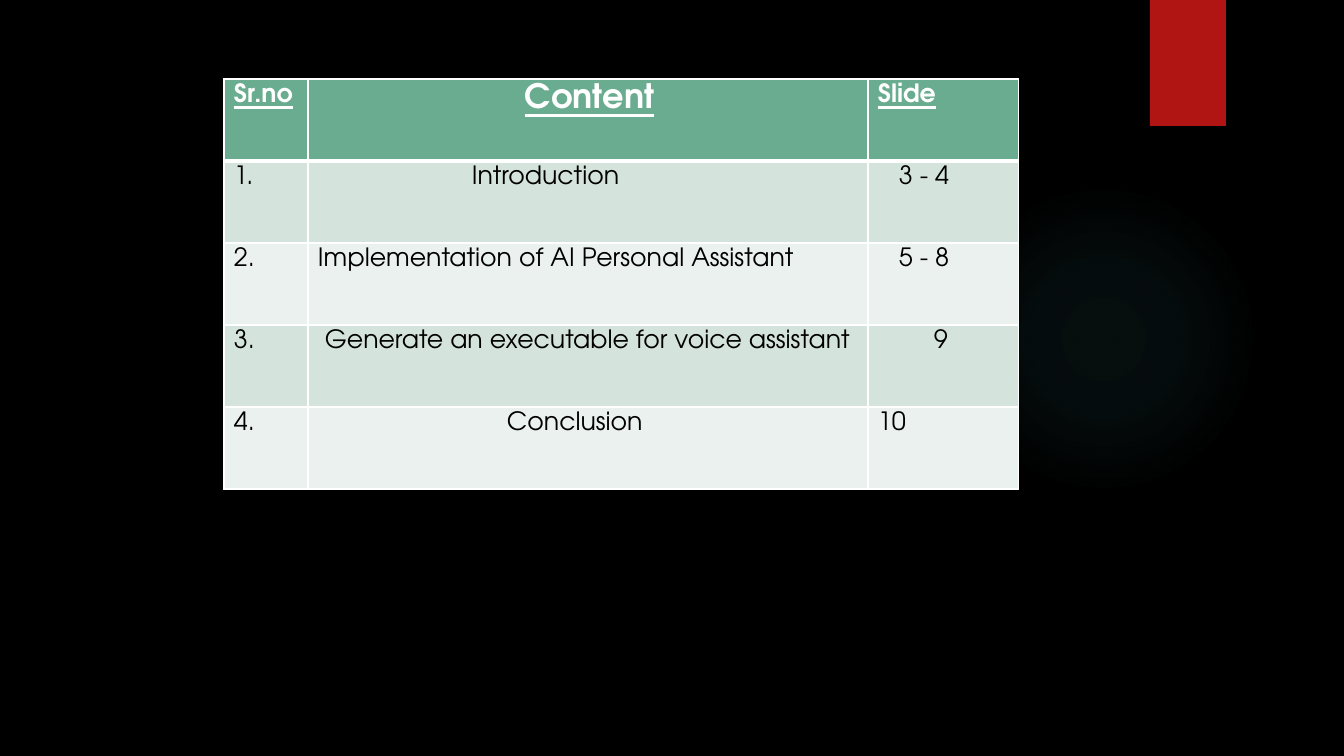
from pptx import Presentation
from pptx.dml.color import RGBColor
from pptx.enum.shapes import MSO_SHAPE
from pptx.oxml import parse_xml
from pptx.oxml.ns import nsdecls
from pptx.util import Emu, Pt

# Content: each cell is its text and its left indent in px
HEADER = [("Sr.no", 10), ("Content", 217), ("Slide", 10)]
ROWS = [
    [("1.", 10), ("Introduction", 164), ("3 - 4", 31)],
    [("2.", 10), ("Implementation of AI Personal Assistant", 10), ("5 - 8", 31)],
    [("3.", 10), ("Generate an executable for voice assistant", 17), ("9", 66)],
    [("4.", 10), ("Conclusion", 199), ("10", 10)],
]

# Layout in px
SLIDE = (1344, 756)
GLOW = (949, 184, 310, 310)
RIBBON = (1150, 0, 76, 126)
TABLE_AT = (224, 79)
COLS = (84, 560, 151)
ROW_H = 82

THEME = {
    "font": "TeX Gyre Adventor",
    "size": 18,
    "title_size": 24,
    "bg": "000000",
    "glow": "50B9C1",
    "glow_stops": [(0, 7), (36, 6), (69, 0)],
    "ribbon": "B01513",
    "header": "6AAC90",
    "bands": ("D4E3DB", "EBF1EE"),
    "line": "FFFFFF",
    "header_text": "FFFFFF",
    "text": "000000",
}


def px(n):
    return Emu(round(n * 914400 / 100.8))


def rgb(name):
    return RGBColor.from_string(name)


def add_plain_shape(s, kind, box, color):
    sp = s.shapes.add_shape(kind, *map(px, box))
    sp.shadow.inherit = False
    sp.line.fill.background()
    sp.fill.solid()
    sp.fill.fore_color.rgb = rgb(color)
    return sp


def set_glow(sp):
    stops = "".join(
        f'<a:gs pos="{pos * 1000}"><a:srgbClr val="{THEME["glow"]}">'
        f'<a:alpha val="{alpha * 1000}"/></a:srgbClr></a:gs>'
        for pos, alpha in THEME["glow_stops"])
    grad = parse_xml(
        f'<a:gradFill {nsdecls("a")}><a:gsLst>{stops}</a:gsLst><a:path path="circle">'
        '<a:fillToRect l="50000" t="50000" r="50000" b="50000"/></a:path></a:gradFill>')
    props = sp.fill._xPr
    props.replace(props.solidFill, grad)


def set_borders(cell, top, bottom):
    widths = {"lnL": 1, "lnR": 1, "lnT": top, "lnB": bottom}
    tc_pr = cell._tc.get_or_add_tcPr()
    for i, (side, width) in enumerate(widths.items()):
        tc_pr.insert(i, parse_xml(
            f'<a:{side} {nsdecls("a")} w="{Pt(width)}"><a:solidFill>'
            f'<a:srgbClr val="{THEME["line"]}"/></a:solidFill></a:{side}>'))


def fill_cell(cell, row, col, text, indent):
    is_header = row == 0
    cell.fill.solid()
    cell.fill.fore_color.rgb = rgb(
        THEME["header"] if is_header else THEME["bands"][(row - 1) % 2])
    set_borders(cell, 3 if row == 1 else 1, 3 if is_header else 1)
    cell.margin_left = px(indent)
    cell.text_frame.text = text
    font = cell.text_frame.paragraphs[0].runs[0].font
    font.name = THEME["font"]
    font.size = Pt(THEME["title_size"] if is_header and col == 1 else THEME["size"])
    font.bold = font.underline = is_header
    font.color.rgb = rgb(THEME["header_text"] if is_header else THEME["text"])


def main():
    prs = Presentation()
    prs.slide_width, prs.slide_height = map(px, SLIDE)
    s = prs.slides.add_slide(prs.slide_layouts[6])

    # Backdrop
    s.background.fill.solid()
    s.background.fill.fore_color.rgb = rgb(THEME["bg"])
    set_glow(add_plain_shape(s, MSO_SHAPE.OVAL, GLOW, THEME["glow"]))
    add_plain_shape(s, MSO_SHAPE.RECTANGLE, RIBBON, THEME["ribbon"])

    # Contents table
    rows = [HEADER] + ROWS
    box = (*TABLE_AT, sum(COLS), ROW_H * len(rows))
    table = s.shapes.add_table(len(rows), len(COLS), *map(px, box)).table
    for column, width in zip(table.columns, COLS):
        column.width = px(width)
    for i, row in enumerate(rows):
        table.rows[i].height = px(ROW_H)
        for j, (text, indent) in enumerate(row):
            fill_cell(table.cell(i, j), i, j, text, indent)

    prs.save("out.pptx")


if __name__ == "__main__":
    main()
